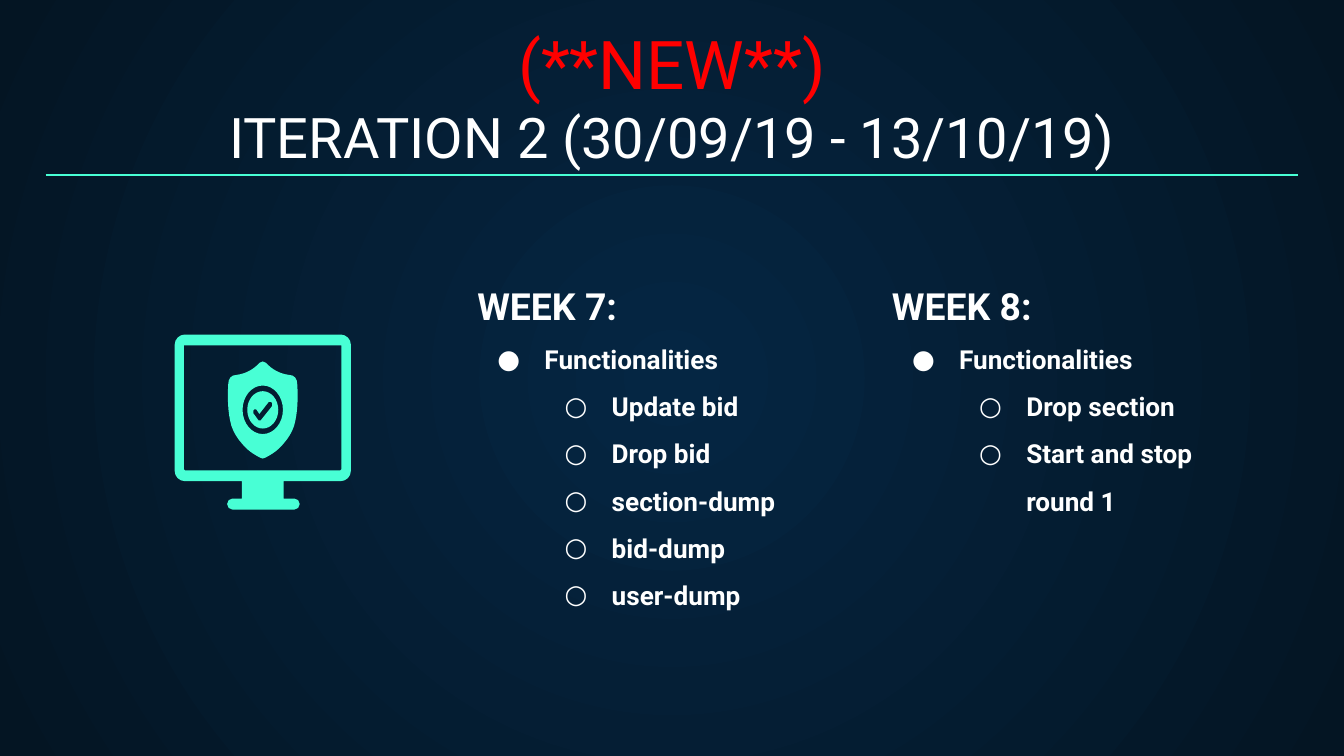
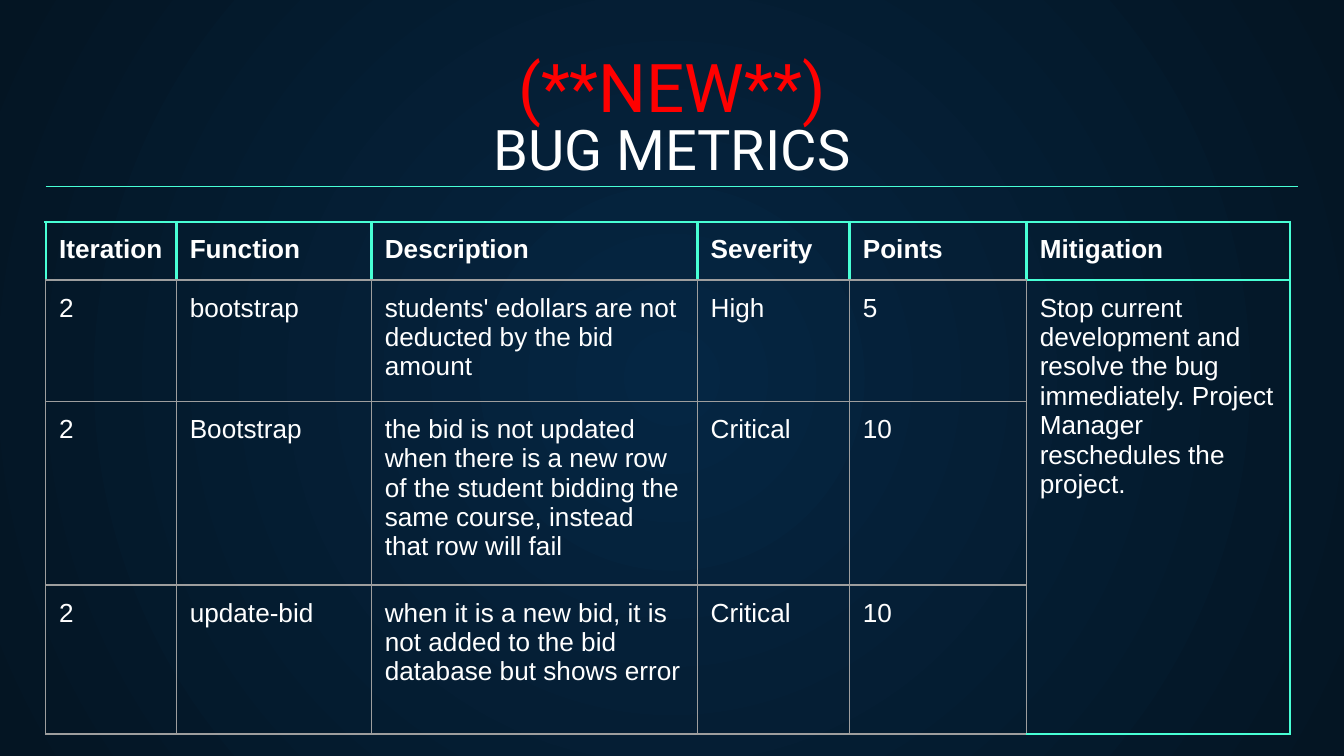
from lxml.etree import SubElement
from pptx import Presentation
from pptx.dml.color import RGBColor
from pptx.enum.shapes import MSO_CONNECTOR as Connector
from pptx.enum.text import MSO_ANCHOR as Anchor, PP_ALIGN as Align
from pptx.oxml.ns import qn
from pptx.util import Pt

COLORS = {
    "centre": "052643",
    "edge": "041523",
    "teal": "48FFD5",
    "red": "FF0000",
    "white": "FFFFFF",
    "grey": "9E9E9E",
}
MARGIN, CONTENT_WIDTH = 24.5, 671
INSET = 7.2
BULLETS = {1: "●", 2: "○"}
ARC = 0.55


def rgb(name):
    return RGBColor.from_string(COLORS[name])


def between(start, end, share):
    return tuple(a + share * (b - a) for a, b in zip(start, end))


def curved(points):
    """Split a start point and cubic control points into segments."""
    return [points[:1]] + [points[i:i + 3] for i in range(1, len(points), 3)]


def rounded(corners):
    """Round each (x, y, radius) corner of a polygon."""
    segments = []
    for i, (x, y, radius) in enumerate(corners):
        corner = (x, y)
        if not radius:
            segments.append([corner])
            continue
        ends = []
        for ox, oy, _ in (corners[i - 1], corners[(i + 1) % len(corners)]):
            length = ((ox - x) ** 2 + (oy - y) ** 2) ** 0.5
            ends.append(between(corner, (ox, oy), radius / length))
        start, end = ends
        segments += [[start], [between(start, corner, ARC),
                               between(end, corner, ARC), end]]
    return segments


def ellipse(cx, cy, rx, ry):
    unit = [(0, -1), (ARC, -1), (1, -ARC), (1, 0), (1, ARC), (ARC, 1), (0, 1),
            (-ARC, 1), (-1, ARC), (-1, 0), (-1, -ARC), (-ARC, -1), (0, -1)]
    return curved([(cx + rx * x, cy + ry * y) for x, y in unit])


def mirrored(half, axis):
    """Close a curved right half, given relative to the axis, with its reflection."""
    return curved([(axis + x, y) for x, y in half]
                  + [(axis - x, y) for x, y in half[-2::-1]])


class Deck:
    def __init__(self):
        self.prs = Presentation()
        self.prs.slide_width, self.prs.slide_height = Pt(720), Pt(405)
        self.slide = None

    def new_slide(self):
        self.slide = self.prs.slides.add_slide(self.prs.slide_layouts[6])
        fill = self.slide.background.fill
        fill.gradient()
        for stop, name in zip(fill.gradient_stops, ("centre", "edge")):
            stop.color.rgb = rgb(name)
        gradient = self.slide.element.find(".//" + qn("a:gradFill"))
        linear = gradient.find(qn("a:lin"))
        if linear is not None:
            gradient.remove(linear)
        radial = SubElement(gradient, qn("a:path"), {"path": "circle"})
        SubElement(radial, qn("a:fillToRect"), dict.fromkeys("ltrb", "50000"))

    def style(self, paragraph, size, color="white", bold=False, font="Roboto"):
        for run in paragraph.runs:
            run.font.size, run.font.bold, run.font.name = Pt(size), bold, font
            run.font.color.rgb = rgb(color)

    def text_frame(self, left, top, width, height, lines):
        box = self.slide.shapes.add_textbox(Pt(left), Pt(top), Pt(width), Pt(height))
        frame = box.text_frame
        frame.word_wrap = True
        frame.margin_left = frame.margin_right = Pt(INSET)
        frame.margin_top = frame.margin_bottom = Pt(INSET)
        frame.text = "\n".join(lines)
        return frame

    def title(self, top, *lines):
        """Stack centred (text, size, colour) lines on the bottom of the title box."""
        frame = self.text_frame(MARGIN, top, CONTENT_WIDTH, 47.5,
                                [text for text, _, _ in lines])
        frame.vertical_anchor = Anchor.BOTTOM
        for paragraph, (_, size, color) in zip(frame.paragraphs, lines):
            paragraph.alignment = Align.CENTER
            self.style(paragraph, size, color)

    def rule(self, y):
        line = self.slide.shapes.add_connector(
            Connector.STRAIGHT, Pt(MARGIN), Pt(y), Pt(MARGIN + CONTENT_WIDTH), Pt(y))
        line.line.color.rgb, line.line.width = rgb("teal"), Pt(0.75)
        SubElement(line.element.spPr, qn("a:effectLst"))

    def bullet(self, paragraph, depth):
        paragraph.level = depth - 1
        props = paragraph._p.get_or_add_pPr()
        props.set("marL", str(Pt(36 * depth)))
        props.set("indent", str(Pt(-25.2)))
        color = SubElement(props, qn("a:buClr"))
        SubElement(color, qn("a:srgbClr"), val=COLORS["white"])
        SubElement(props, qn("a:buSzPts"), val="1400")
        SubElement(props, qn("a:buFont"), typeface="Roboto")
        SubElement(props, qn("a:buChar"), char=BULLETS[depth])

    def week(self, left, heading, topic, tasks):
        frame = self.text_frame(left, 132.6, 203.5, 216, [heading, topic, *tasks])
        for i, paragraph in enumerate(frame.paragraphs):
            paragraph.line_spacing = 1.5
            self.style(paragraph, 14 if i else 20, bold=True)
            if i:
                self.bullet(paragraph, min(i, 2))

    def bend(self, part, segments):
        """Turn each run of three lines that stands for a cubic into a curve."""
        lines = iter(list(part.element.iter(qn("a:lnTo"))))
        for segment in segments:
            first, *others = [next(lines) for _ in segment]
            if others:
                first.tag = qn("a:cubicBezTo")
                for other in others:
                    first.append(other[0])
                    other.getparent().remove(other)

    def icon(self, *parts):
        """Group outlines; each part is an outer contour followed by its holes."""
        group = self.slide.shapes.add_group_shape()
        for contours in parts:
            builder = None
            for contour in contours:
                start, *rest = [(Pt(x), Pt(y)) for segment in contour
                                for x, y in segment]
                if builder is None:
                    builder = group.shapes.build_freeform(*start)
                else:
                    builder.move_to(*start)
                builder.add_line_segments(rest, close=True)
            part = builder.convert_to_shape()
            self.bend(part, [segment for contour in contours
                             for segment in contour[1:]])
            part.shadow.inherit = False
            part.fill.solid()
            part.fill.fore_color.rgb = rgb("teal")
            part.line.fill.background()

    def borders(self, cell, teal_sides):
        props = cell._tc.get_or_add_tcPr()
        for side in "LRTB":
            color, width = ("teal", 1.5) if side in teal_sides else ("grey", 0.75)
            edge = SubElement(props, qn("a:ln" + side), w=str(Pt(width)))
            SubElement(SubElement(edge, qn("a:solidFill")), qn("a:srgbClr"),
                       val=COLORS[color])

    def table(self, top, widths, heights, rows):
        """Draw a table whose last column is one cell below its heading."""
        table = self.slide.shapes.add_table(
            len(rows), len(widths), Pt(MARGIN), Pt(top),
            Pt(sum(widths)), Pt(sum(heights))).table
        table.first_row = table.horz_banding = False
        for column, width in zip(table.columns, widths):
            column.width = Pt(width)
        for row, height in zip(table.rows, heights):
            row.height = Pt(height)
        last = len(widths) - 1
        for r, texts in enumerate(rows):
            for c in range(len(widths)):
                cell = table.cell(r, c)
                if c == last:
                    teal_sides = "RTB" if r else "LRTB"
                else:
                    teal_sides = "" if r else "LRT"
                self.borders(cell, teal_sides)
                cell.fill.background()
                cell.margin_left = cell.margin_right = Pt(INSET)
                cell.margin_top = cell.margin_bottom = Pt(INSET)
                if c < len(texts):
                    cell.text_frame.text = texts[c]
                    self.style(cell.text_frame.paragraphs[0], 14,
                               bold=r == 0, font="Arial")
        table.cell(1, last).merge(table.cell(len(rows) - 1, last))


def secure_monitor():
    """Return the parts of a monitor that shows a shield with a tick."""
    axis, middle = 140.8, 219.6
    monitor = rounded([
        (93.6, 179.2, 5.5), (188, 179.2, 5.5), (188, 257.8, 5.5),
        (152, 257.8, 0), (152, 267.1, 0), (160.6, 267.1, 2.9),
        (160.6, 273, 2.9), (121.7, 273, 2.9), (121.7, 267.1, 2.9),
        (129.6, 267.1, 0), (129.6, 257.8, 0), (93.6, 257.8, 5.5)])
    screen = rounded([(98.6, 185, 0), (182.9, 185, 0),
                      (182.9, 252, 0.6), (98.6, 252, 0.6)])
    shield_half = [
        (0, 193.7), (0.6, 193.7), (1.2, 193.9), (1.7, 194.4),
        (5, 198), (9, 200.2), (14, 200.9),
        (17, 200.9), (18.5, 203), (18.5, 206),
        (18.9, 213), (18.8, 221), (16.8, 228.2),
        (15.5, 232), (13.5, 235), (11.2, 237.6),
        (8.5, 241), (5, 243.5), (1, 245.4),
        (0.7, 245.6), (0.3, 245.7), (0, 245.7)]
    tick = rounded([
        (135.2, 220.7, 1), (136.8, 218.6, 1), (139, 221.8, 0),
        (144.6, 214.6, 1), (146.5, 216.7, 1), (139.1, 226, 1)])
    return (
        [monitor, screen],
        [ellipse(axis, middle, 8.3, 10), tick],
        [mirrored(shield_half, axis), ellipse(axis, middle, 10.8, 13)],
    )


def main():
    deck = Deck()
    new_mark = ("(**NEW**)", 36, "red")

    deck.new_slide()
    deck.title(50.9, new_mark, ("ITERATION 2 (30/09/19 - 13/10/19)", 30, "white"))
    deck.icon(*secure_monitor())
    deck.rule(93.8)
    deck.week(248.6, "WEEK 7:", "Functionalities",
              ["Update bid", "Drop bid", "section-dump", "bid-dump", "user-dump"])
    deck.week(470.7, "WEEK 8:", "Functionalities",
              ["Drop section", "Start and stop round 1"])

    deck.new_slide()
    deck.title(56.9, ("BUG METRICS", 30, "white"))
    deck.rule(100)
    deck.title(27, new_mark)
    deck.table(118.8, [70, 104.5, 174.6, 81.5, 94.8, 141.2], [30.2, 30.2, 30.2, 79.9], [
        ["Iteration", "Function", "Description", "Severity", "Points", "Mitigation"],
        ["2", "bootstrap", "students' edollars are not deducted by the bid amount",
         "High", "5", "Stop current development and resolve the bug immediately. "
         "Project Manager reschedules the project."],
        ["2", "Bootstrap", "the bid is not updated when there is a new row of the "
         "student bidding the same course, instead that row will fail",
         "Critical", "10"],
        ["2", "update-bid", "when it is a new bid, it is not added to the bid "
         "database but shows error", "Critical", "10"],
    ])
    deck.prs.save("out.pptx")


if __name__ == "__main__":
    main()
